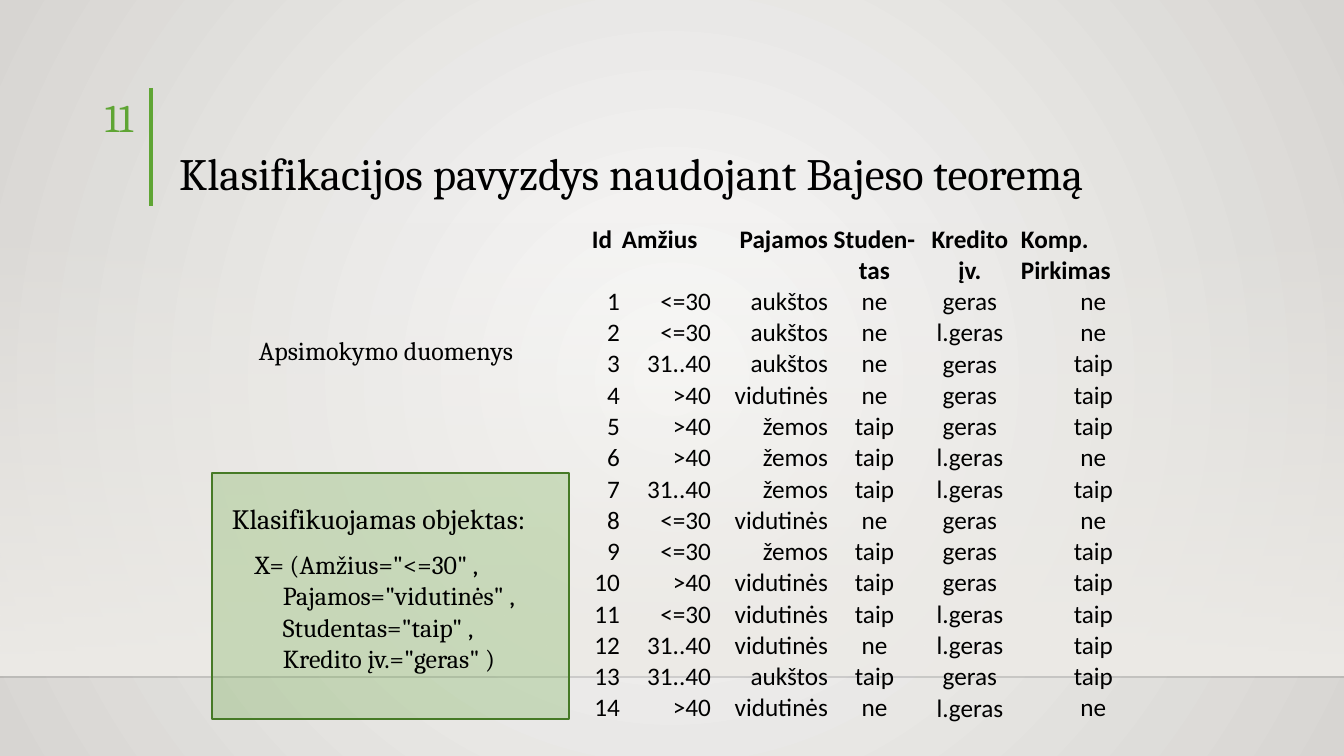
"""Build the slide with the Bayes classification example and its training data."""
from dataclasses import dataclass

from lxml.etree import SubElement
from pptx import Presentation
from pptx.dml.color import RGBColor
from pptx.enum.shapes import MSO_CONNECTOR, MSO_SHAPE
from pptx.enum.text import MSO_ANCHOR, MSO_AUTO_SIZE, PP_ALIGN
from pptx.oxml.ns import qn
from pptx.util import Pt

TITLE = "Klasifikacijos pavyzdys naudojant Bajeso teoremą"
PAGE_NUMBER = "11"
TRAINING_LABEL = "Apsimokymo duomenys"
OBJECT_HEADING = "Klasifikuojamas objektas:"
OBJECT_LINES = [
    'X= (Amžius="<=30" , ',
    'Pajamos="vidutinės" , ',
    'Studentas="taip" , ',
    'Kredito įv.="geras" )',
]
HEADERS = [["Id", ""], ["Amžius", ""], ["Pajamos", ""], ["Studen-tas"], ["Kredito įv."], ["Komp. Pirkimas"]]
RECORDS = [
    ("<=30", "aukštos", "ne", "geras", "ne"),
    ("<=30", "aukštos", "ne", "l.geras", "ne"),
    ("31..40", "aukštos", "ne", "geras", "taip"),
    (">40", "vidutinės", "ne", "geras", "taip"),
    (">40", "žemos", "taip", "geras", "taip"),
    (">40", "žemos", "taip", "l.geras", "ne"),
    ("31..40", "žemos", "taip", "l.geras", "taip"),
    ("<=30", "vidutinės", "ne", "geras", "ne"),
    ("<=30", "žemos", "taip", "geras", "taip"),
    (">40", "vidutinės", "taip", "geras", "taip"),
    ("<=30", "vidutinės", "taip", "l.geras", "taip"),
    ("31..40", "vidutinės", "ne", "l.geras", "taip"),
    ("31..40", "aukštos", "taip", "geras", "taip"),
    (">40", "vidutinės", "ne", "l.geras", "ne"),
]

LEFT, CENTER, RIGHT = PP_ALIGN.LEFT, PP_ALIGN.CENTER, PP_ALIGN.RIGHT
COLUMN_WIDTHS = [30, 91, 117, 91, 100, 147]
HEADER_ALIGNS = [LEFT, LEFT, RIGHT, CENTER, CENTER, LEFT]
RECORD_ALIGNS = [RIGHT, RIGHT, RIGHT, CENTER, CENTER, CENTER]
CREDIT_COLUMN = 4
ROW_HEIGHT = 25
NO_GRID_STYLE = "{2D5ABB26-0587-4C30-8999-92F81FD0307C}"
WIDTH, HEIGHT = 1344, 756
EMU_PER_PX = 914400 / 100.8


@dataclass(frozen=True)
class Theme:
    """Colours, fonts and type sizes."""
    ink: str = "000000"
    green: str = "5FA534"
    dark_green: str = "467A26"
    wall_center: str = "FAFAF9"
    wall_edge: str = "D7D5D2"
    haze: str = "EDEBE7"
    floor_edge: str = "000001"
    serif: str = "Cambria"
    sans: str = "Calibri"
    title: float = 32
    number: float = 28
    heading: float = 20
    body: float = 18.5
    table: float = 18


THEME = Theme()


def px(*lengths):
    return [round(length * EMU_PER_PX) for length in lengths]


def rgb(color):
    return RGBColor.from_string(color)


def fade(shape, *opacities):
    for color, opacity in zip(shape.element.iter(qn("a:srgbClr")), opacities):
        SubElement(color, qn("a:alpha")).set("val", str(opacity * 1000))


def fill_gradient(fill, colors):
    fill.gradient()
    for stop, color in zip(fill.gradient_stops, colors):
        stop.color.rgb = rgb(color)


def write(frame, lines, size, font=THEME.serif, color=THEME.ink, bold=False, align=LEFT):
    paragraph = frame.paragraphs[0]
    paragraph.alignment = align
    for index, line in enumerate(lines):
        if index:
            paragraph.add_line_break()
        if line:
            run = paragraph.add_run()
            run.text = line
            run.font.size, run.font.name, run.font.bold = Pt(size), font, bold
            run.font.color.rgb = rgb(color)
    return paragraph


def add_text(slide, box, lines, size, **style):
    frame = slide.shapes.add_textbox(*px(*box)).text_frame
    frame.word_wrap = True
    return write(frame, lines, size, **style)


def hang(paragraph):
    paragraph.space_before = Pt(3)
    margin, indent = px(40, -28)
    properties = paragraph._p.get_or_add_pPr()
    properties.set("marL", str(margin))
    properties.set("indent", str(indent))


def add_rectangle(slide, *box):
    rectangle = slide.shapes.add_shape(MSO_SHAPE.RECTANGLE, *px(*box))
    rectangle.shadow.inherit = False
    return rectangle


def add_rule(slide, ends, color, weight):
    rule = slide.shapes.add_connector(MSO_CONNECTOR.STRAIGHT, *px(*ends))
    rule.line.color.rgb = rgb(color)
    rule.line.width = Pt(weight)
    SubElement(rule.element.spPr, qn("a:effectLst"))
    return rule


def paint_background(slide):
    fill_gradient(slide.background.fill, [THEME.wall_center, THEME.wall_edge])
    gradient = slide.element.find(".//" + qn("a:gradFill"))
    gradient.remove(gradient.find(qn("a:lin")))
    circle = SubElement(gradient, qn("a:path"))
    circle.set("path", "circle")
    focus = SubElement(circle, qn("a:fillToRect"))
    for side in "ltrb":
        focus.set(side, "50000")

    haze = add_rectangle(slide, 0, 222, WIDTH, 454)
    fill_gradient(haze.fill, [THEME.haze, THEME.haze])
    haze.fill.gradient_angle = 270
    haze.line.fill.background()
    fade(haze, 0, 100)
    fade(add_rule(slide, (0, 677, WIDTH, 677), THEME.floor_edge, 1), 20)
    add_rule(slide, (151, 88, 151, 206), THEME.green, 3)


def place_title(slide):
    title = slide.shapes.title
    title.left, title.top, title.width, title.height = px(169, 89, 1049, 116)
    frame = title.text_frame
    frame.auto_size, frame.vertical_anchor = MSO_AUTO_SIZE.NONE, MSO_ANCHOR.BOTTOM
    write(frame, [TITLE], THEME.title).line_spacing = 0.9


def add_training_table(slide):
    rows = [HEADERS] + [
        [[str(number)]] + [[value] for value in record] for number, record in enumerate(RECORDS, 1)
    ]
    box = px(591, 224, sum(COLUMN_WIDTHS), ROW_HEIGHT * len(rows))
    table = slide.shapes.add_table(len(rows), len(COLUMN_WIDTHS), *box).table
    table.horz_banding = False
    table._tbl.tblPr.find(qn("a:tableStyleId")).text = NO_GRID_STYLE
    for column, width in zip(table.columns, px(*COLUMN_WIDTHS)):
        column.width = width
    for r, values in enumerate(rows):
        aligns = RECORD_ALIGNS if r else HEADER_ALIGNS
        for c, lines in enumerate(values):
            cell = table.cell(r, c)
            cell.fill.background()
            cell.margin_left, cell.margin_right, cell.margin_top, cell.margin_bottom = px(1, 1, 1, 0)
            cell.vertical_anchor = MSO_ANCHOR.MIDDLE if c == CREDIT_COLUMN else MSO_ANCHOR.BOTTOM
            write(cell.text_frame, lines, THEME.table, THEME.sans, bold=r == 0, align=aligns[c])


def main():
    deck = Presentation()
    deck.slide_width, deck.slide_height = px(WIDTH, HEIGHT)
    slide = deck.slides.add_slide(deck.slide_layouts[5])
    paint_background(slide)

    object_panel = add_rectangle(slide, 212, 473, 357, 246)
    object_panel.fill.solid()
    object_panel.fill.fore_color.rgb = rgb(THEME.green)
    object_panel.line.color.rgb = rgb(THEME.dark_green)
    object_panel.line.width = Pt(1.25)
    fade(object_panel, 25)

    place_title(slide)
    training_label = add_text(slide, (249, 323, 319, 66), [TRAINING_LABEL], THEME.body)
    training_label.line_spacing, training_label.space_before = 1.2, Pt(10)
    add_training_table(slide)
    hang(add_text(slide, (210, 497, 907, 66), [OBJECT_HEADING], THEME.heading))
    hang(add_text(slide, (233, 544, 360, 127), OBJECT_LINES, THEME.body))
    add_text(slide, (53, 88, 90, 82), [PAGE_NUMBER], THEME.number, color=THEME.green, align=RIGHT)
    deck.save("out.pptx")


if __name__ == "__main__":
    main()
